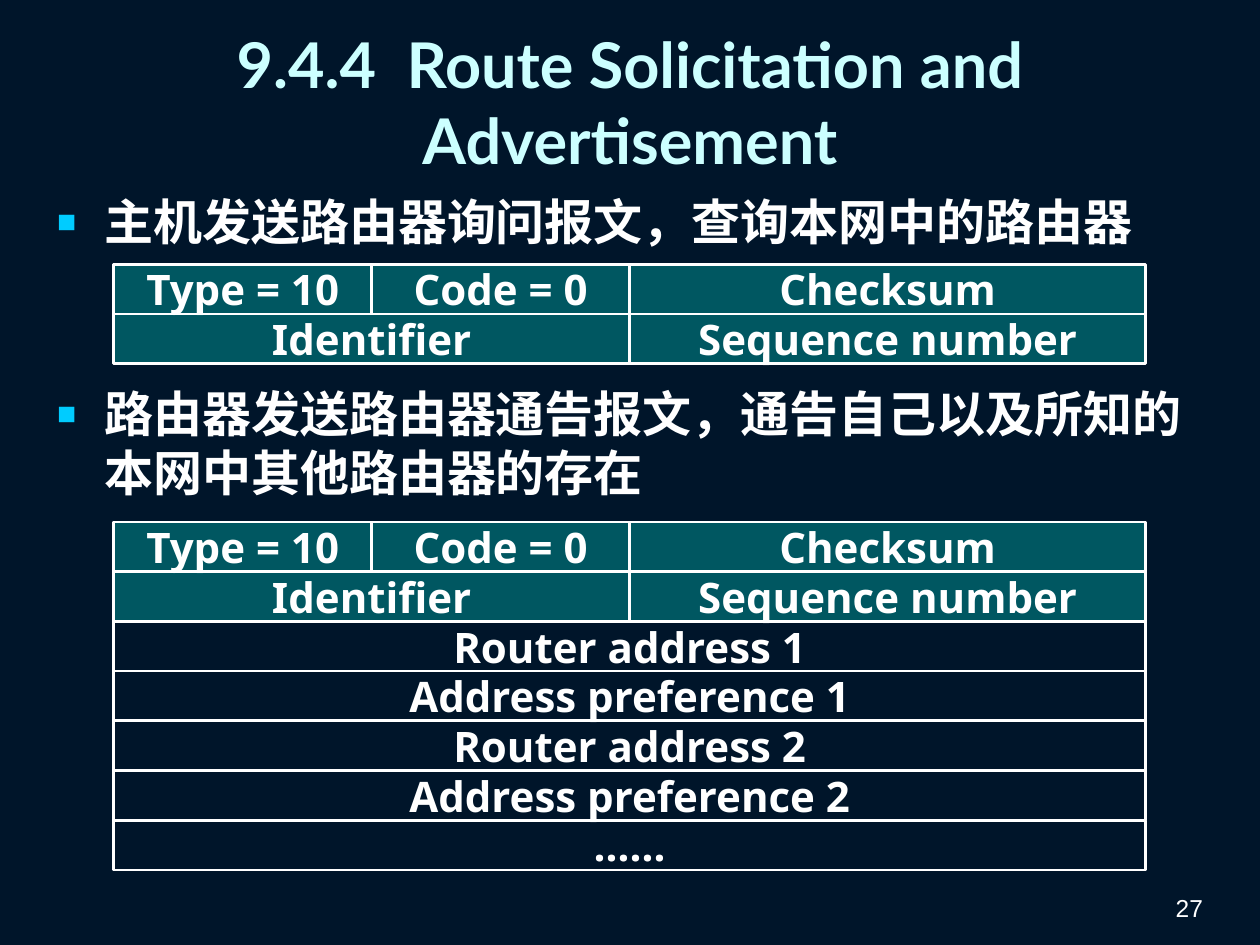
import pptx
import pptx.util
import pptx.dml.color
import pptx.enum.shapes
import pptx.enum.text
import pptx.oxml
import pptx.oxml.ns
from lxml import etree

Pt = pptx.util.Pt
Align = pptx.enum.text.PP_ALIGN
Anchor = pptx.enum.text.MSO_ANCHOR
qn = pptx.oxml.ns.qn

COLORS = {
    "back": "00152A",
    "title": "CCFFFF",
    "text": "FFFFFF",
    "mark": "00CCFF",
    "head": "009999",
}

# Each cell is its label and its width in quarters of the row.
HEADER = [
    [("Type = 10", 1), ("Code = 0", 1), ("Checksum", 2)],
    [("Identifier", 2), ("Sequence number", 2)],
]
ROUTES = ["Router address 1", "Address preference 1",
          "Router address 2", "Address preference 2", "……"]


def color(name):
    return pptx.dml.color.RGBColor.from_string(COLORS[name])


def style(para, size, font, name="text", bold=True):
    for run in para.runs:
        run.font.size = Pt(size)
        run.font.name = font
        run.font.bold = bold
        run.font.color.rgb = color(name)


def place(shape, left, top, width, height):
    shape.left, shape.top = Pt(left), Pt(top)
    shape.width, shape.height = Pt(width), Pt(height)


def add_title(slide, box):
    title = slide.shapes.title
    place(title, *box)
    frame = title.text_frame
    frame.text = "9.4.4  Route Solicitation and Advertisement"
    frame.auto_size = pptx.enum.text.MSO_AUTO_SIZE.NONE
    frame.vertical_anchor = Anchor.MIDDLE
    para = frame.paragraphs[0]
    para.alignment = Align.CENTER
    style(para, 36, "Lato", "title")


def add_bullet(para):
    props = para._p.get_or_add_pPr()
    props.set("marL", str(Pt(27)))
    props.set("indent", str(Pt(-27)))
    tint = etree.SubElement(props, qn("a:buClr"))
    etree.SubElement(tint, qn("a:srgbClr"), val=COLORS["mark"])
    etree.SubElement(props, qn("a:buSzPct"), val="65000")
    etree.SubElement(props, qn("a:buFont"), typeface="Arial")
    etree.SubElement(props, qn("a:buChar"), char="■")


def add_list(slide, box):
    body = slide.placeholders[1]
    place(body, *box)
    frame = body.text_frame
    frame.text = ("主机发送路由器询问报文，查询本网中的路由器\n"
                  "路由器发送路由器通告报文，通告自己以及所知的本网中其他路由器的存在")
    frame.auto_size = pptx.enum.text.MSO_AUTO_SIZE.NONE
    for para, gap in zip(frame.paragraphs, (0, 76)):
        para.space_before = Pt(gap)
        add_bullet(para)
        style(para, 28, "Noto Sans")


def add_field(slide, box, label, filled):
    field = slide.shapes.add_shape(
        pptx.enum.shapes.MSO_SHAPE.RECTANGLE, *map(Pt, box))
    field.shadow.inherit = False
    field.line.color.rgb = color("text")
    field.line.width = Pt(1.5)
    if filled:
        field.fill.solid()
        field.fill.fore_color.rgb = color("head")
        tint = field.element.spPr.find(qn("a:solidFill")).find(qn("a:srgbClr"))
        etree.SubElement(tint, qn("a:alpha"), val="50000")
    else:
        field.fill.background()
    frame = field.text_frame
    frame.text = label
    frame.word_wrap = False
    frame.vertical_anchor = Anchor.MIDDLE
    para = frame.paragraphs[0]
    para.alignment = Align.CENTER
    style(para, 24, "Noto Sans")


def add_packet(slide, box, routes=()):
    """Stack the header rows and one full-width row per route in the box."""
    left, top, width, height = box
    rows = HEADER + [[(route, 4)] for route in routes]
    pitch = height / len(rows)
    for i, row in enumerate(rows):
        x = left
        for label, span in row:
            wide = width * span / 4
            add_field(slide, (x, top + i * pitch, wide, pitch),
                      label, i < len(HEADER))
            x += wide


def add_number(slide, box):
    note = slide.shapes.add_textbox(*map(Pt, box))
    frame = note.text_frame
    frame.text = "27"
    frame.word_wrap = True
    frame.vertical_anchor = Anchor.BOTTOM
    para = frame.paragraphs[0]
    para.alignment = Align.RIGHT
    style(para, 14, "Arial", bold=False)


def main():
    deck = pptx.Presentation()
    deck.slide_width, deck.slide_height = Pt(720), Pt(540)
    slide = deck.slides.add_slide(deck.slide_layouts[1])
    slide.background.fill.solid()
    slide.background.fill.fore_color.rgb = color("back")

    add_title(slide, (25.5, 9.5, 669, 96.5))
    add_list(slide, (25.5, 106, 669, 391))
    add_packet(slide, (65, 151, 589.6, 56.8))
    add_packet(slide, (65, 298.3, 589.6, 198.8), ROUTES)
    add_number(slide, (526.5, 497, 168, 33.5))
    deck.save("out.pptx")


if __name__ == "__main__":
    main()
